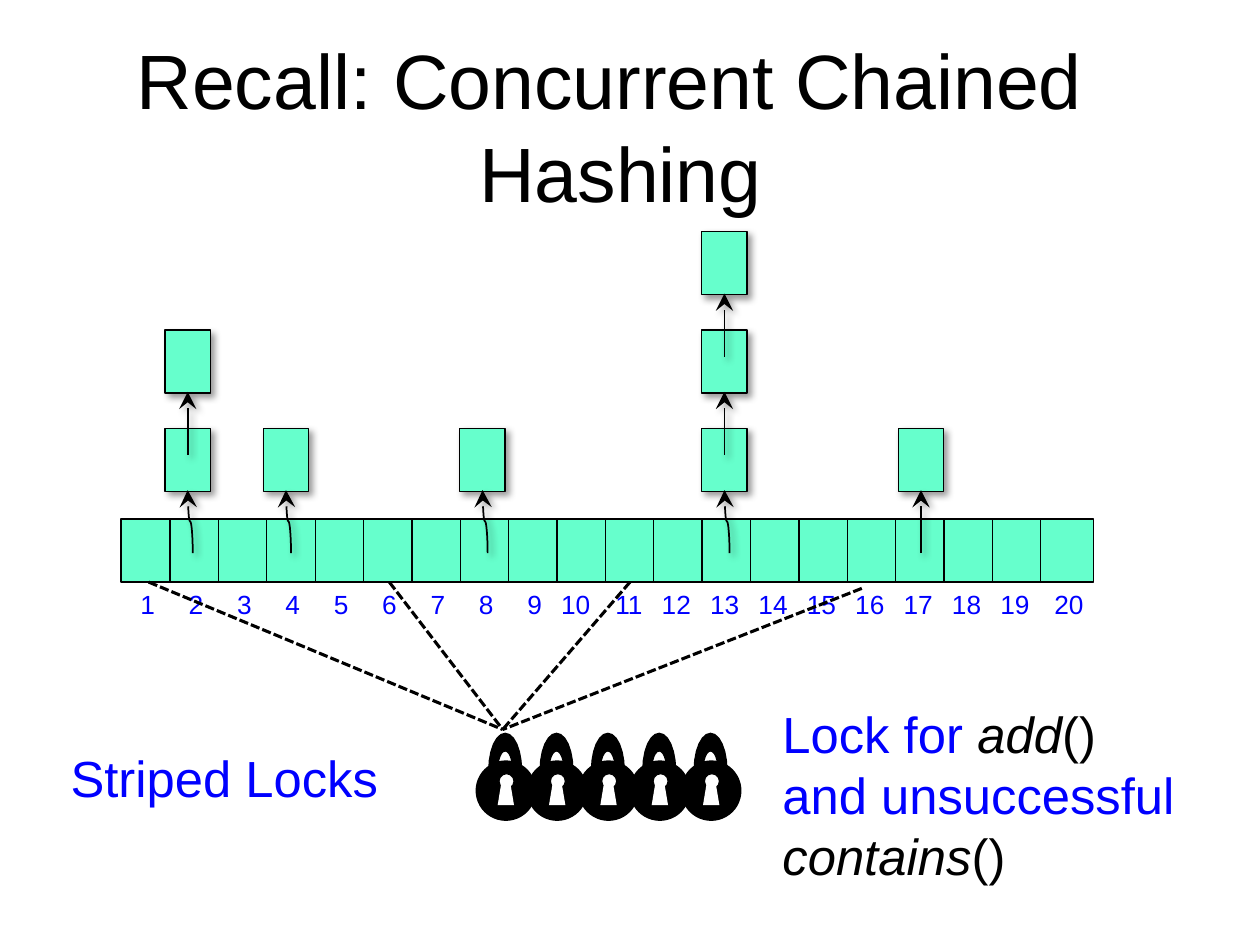
from dataclasses import dataclass
from math import cos, pi, sin

from lxml.etree import SubElement
from pptx import Presentation
from pptx.dml.color import RGBColor
from pptx.enum.dml import MSO_LINE_DASH_STYLE as Dash
from pptx.enum.shapes import MSO_AUTO_SHAPE_TYPE as Preset, MSO_CONNECTOR as Link
from pptx.enum.text import MSO_ANCHOR as Anchor, PP_ALIGN as Align
from pptx.oxml.ns import qn
from pptx.util import Inches, Pt


@dataclass(frozen=True)
class Theme:
    """Colours, font and sizes of the slide."""

    font: str = "Arial"
    black: RGBColor = RGBColor(0, 0, 0)
    white: RGBColor = RGBColor(255, 255, 255)
    blue: RGBColor = RGBColor(0, 0, 255)
    mint: RGBColor = RGBColor(0x66, 0xFF, 0xCC)
    title: int = 44
    caption: int = 29
    number: int = 15
    outline: float = 0.75
    arrow: float = 1
    dashes: float = 1.75


THEME = Theme()
TABLE_LEFT, TABLE_TOP, TABLE_WIDTH = 0.96, 4.12, 7.72
CELL_HEIGHT, SLOTS = 0.5, 20
FIRST_DIVIDER, LAST_DIVIDER = 1.35, 8.26
SLOT_PITCH = (LAST_DIVIDER - FIRST_DIVIDER) / (SLOTS - 2)
NUMBER_RUNS = [(1, 10, 1.32), (11, 19, 5.19), (20, 20, 8.69)]
NODE_WIDTH, NODE_TOP, NODE_STEP = 0.36, 3.4, 0.78
ARROW_BOTTOM, ARROW_LENGTH = 4.39, 0.5
CHAINS = [(1.31, 2, 0.04), (2.09, 1, 0.04), (3.65, 1, 0.04), (5.57, 3, 0.04), (7.13, 1, 0)]
FIRST_LOCK, LAST_LOCK, LOCKS = 3.78, 5.41, 5
STRIPE_HUB = (3.99, 5.79)
STRIPE_STARTS = [(1.18, 4.62), (3.09, 4.62), (5, 4.62), (6.84, 4.67)]


def set_all(target, values):
    """Set every attribute in a dict of format values."""
    for name, value in values.items():
        setattr(target, name, value)


def add_effects(shape, shadow):
    """Give the shape a soft offset shadow, or none."""
    effects = SubElement(shape._element.spPr, qn("a:effectLst"))
    if shadow:
        outer = SubElement(effects, qn("a:outerShdw"), blurRad="50800", dist="38100", dir="2700000")
        color = SubElement(outer, qn("a:srgbClr"), val=str(THEME.black))
        SubElement(color, qn("a:alpha"), val="40000")


def paint(shape, fill, outlined=True, shadow=False):
    """Set the fill, outline and shadow of a shape."""
    shape.fill.solid()
    shape.fill.fore_color.rgb = fill
    if outlined:
        shape.line.color.rgb = THEME.black
        shape.line.width = Pt(THEME.outline)
    else:
        shape.line.fill.background()
    add_effects(shape, shadow)


def add_preset(shapes, preset, box, fill, shadow=False):
    """Add a filled preset shape."""
    shape = shapes.add_shape(preset, *map(Inches, box))
    paint(shape, fill, shadow=shadow)


def add_outline(shapes, points, fill, outlined):
    """Add a closed polygon through the given points."""
    start, *others = [(Inches(x), Inches(y)) for x, y in points]
    builder = shapes.build_freeform(*start)
    builder.add_line_segments(others, close=True)
    paint(builder.convert_to_shape(), fill, outlined)


def add_line(shapes, start, end, width, dash=None):
    """Add a straight line."""
    line = shapes.add_connector(Link.STRAIGHT, *map(Inches, (*start, *end)))
    line.line.color.rgb = THEME.black
    set_all(line.line, {"width": Pt(width), "dash_style": dash})
    add_effects(line, False)


def add_arrow(shapes, x, bottom, drift):
    """Add a curved upward arrow that ends at x and starts drift to its right."""
    middle_x, middle_y = x + drift / 2, bottom - ARROW_LENGTH / 2
    ends = (middle_x - ARROW_LENGTH / 2, middle_y + drift / 2,
            middle_x + ARROW_LENGTH / 2, middle_y - drift / 2)
    arrow = shapes.add_connector(Link.CURVE, *map(Inches, ends))
    arrow._element.spPr.find(qn("a:xfrm")).set("rot", "16200000")
    arrow.line.color.rgb = THEME.black
    arrow.line.width = Pt(THEME.arrow)
    SubElement(arrow.line._get_or_add_ln(), qn("a:tailEnd"), type="stealth", w="lg", len="lg")
    add_effects(arrow, True)


def add_text(shapes, box, paragraphs, size, align=Align.LEFT, anchor=Anchor.TOP, wrap=True):
    """Add a text box whose paragraphs are lists of (text, color, italic) runs."""
    frame = shapes.add_textbox(*map(Inches, box)).text_frame
    set_all(frame, {"word_wrap": wrap, "vertical_anchor": anchor,
                    "margin_left": Inches(0.09), "margin_right": Inches(0.09)})
    for index, runs in enumerate(paragraphs):
        paragraph = frame.add_paragraph() if index else frame.paragraphs[0]
        paragraph.alignment = align
        for text, color, italic in runs:
            run = paragraph.add_run()
            run.text = text
            set_all(run.font, {"name": THEME.font, "size": Pt(size), "italic": italic})
            run.font.color.rgb = color


def add_hash_table(shapes):
    """Add the row of numbered slots."""
    add_preset(shapes, Preset.RECTANGLE, (TABLE_LEFT, TABLE_TOP, TABLE_WIDTH, CELL_HEIGHT), THEME.mint)
    bottom = TABLE_TOP + CELL_HEIGHT
    for index in range(SLOTS - 1):
        x = FIRST_DIVIDER + index * SLOT_PITCH
        add_line(shapes, (x, TABLE_TOP), (x, bottom), THEME.outline)
    for first, last, right in NUMBER_RUNS:
        for number in range(first, last + 1):
            width = 0.22 + 0.11 * len(str(number))
            left = right + (number - first) * SLOT_PITCH - width
            add_text(shapes, (left, bottom, width, 0.35), [[(str(number), THEME.blue, False)]],
                     THEME.number, Align.RIGHT, wrap=False)


def add_chain(shapes, left, length, drift):
    """Add a chain of nodes above a slot, each with its incoming arrow."""
    for level in range(length):
        rise = level * NODE_STEP
        add_preset(shapes, Preset.RECTANGLE, (left, NODE_TOP - rise, NODE_WIDTH, CELL_HEIGHT),
                   THEME.mint, shadow=True)
        add_arrow(shapes, left + NODE_WIDTH / 2, ARROW_BOTTOM - rise, 0 if level else drift)


def arch(center, base, radius_x, radius_y, steps=12):
    """Return points along the upper half of an ellipse, left to right."""
    angles = [pi - pi * step / steps for step in range(steps + 1)]
    return [(center + radius_x * cos(angle), base - radius_y * sin(angle)) for angle in angles]


def add_lock(shapes, left):
    """Add a padlock with keyhole and shackle."""
    add_preset(shapes, Preset.OVAL, (left, 6.04, 0.47, 0.47), THEME.black)
    add_preset(shapes, Preset.OVAL, (left + 0.18, 6.14, 0.12, 0.12), THEME.white)
    keyhole = [(left + x, y) for x, y in [(0.17, 6.39), (0.2, 6.21), (0.27, 6.21), (0.3, 6.39)]]
    add_outline(shapes, keyhole, THEME.white, False)
    center = left + 0.23
    shackle = arch(center, 6.11, 0.13, 0.29) + arch(center, 6.11, 0.06, 0.15)[::-1]
    add_outline(shapes, shackle, THEME.black, True)


def main():
    """Build the slide and save it."""
    presentation = Presentation()
    set_all(presentation, {"slide_width": Inches(10), "slide_height": Inches(7.5)})
    shapes = presentation.slides.add_slide(presentation.slide_layouts[6]).shapes
    add_text(shapes, (0.53, 0.51, 8.79, 0.97),
             [[("Recall: Concurrent Chained  Hashing", THEME.black, False)]],
             THEME.title, Align.CENTER, Anchor.MIDDLE)
    add_hash_table(shapes.add_group_shape().shapes)
    for chain in CHAINS:
        add_chain(shapes, *chain)
    for start in STRIPE_STARTS:
        add_line(shapes, start, STRIPE_HUB, THEME.dashes, Dash.SQUARE_DOT)
    add_text(shapes, (6.12, 5.53, 3.57, 1.56), [
        [("Lock for ", THEME.blue, False), ("add", THEME.black, True), ("()", THEME.black, False)],
        [("and unsuccessful", THEME.blue, False)],
        [("contains", THEME.black, True), ("()", THEME.black, False)],
    ], THEME.caption)
    add_text(shapes, (0.47, 5.88, 2.65, 0.58), [[("Striped Locks", THEME.blue, False)]],
             THEME.caption, wrap=False)
    locks = shapes.add_group_shape().shapes
    lock_pitch = (LAST_LOCK - FIRST_LOCK) / (LOCKS - 1)
    for index in range(LOCKS):
        add_lock(locks, FIRST_LOCK + index * lock_pitch)
    presentation.save("out.pptx")


if __name__ == "__main__":
    main()
